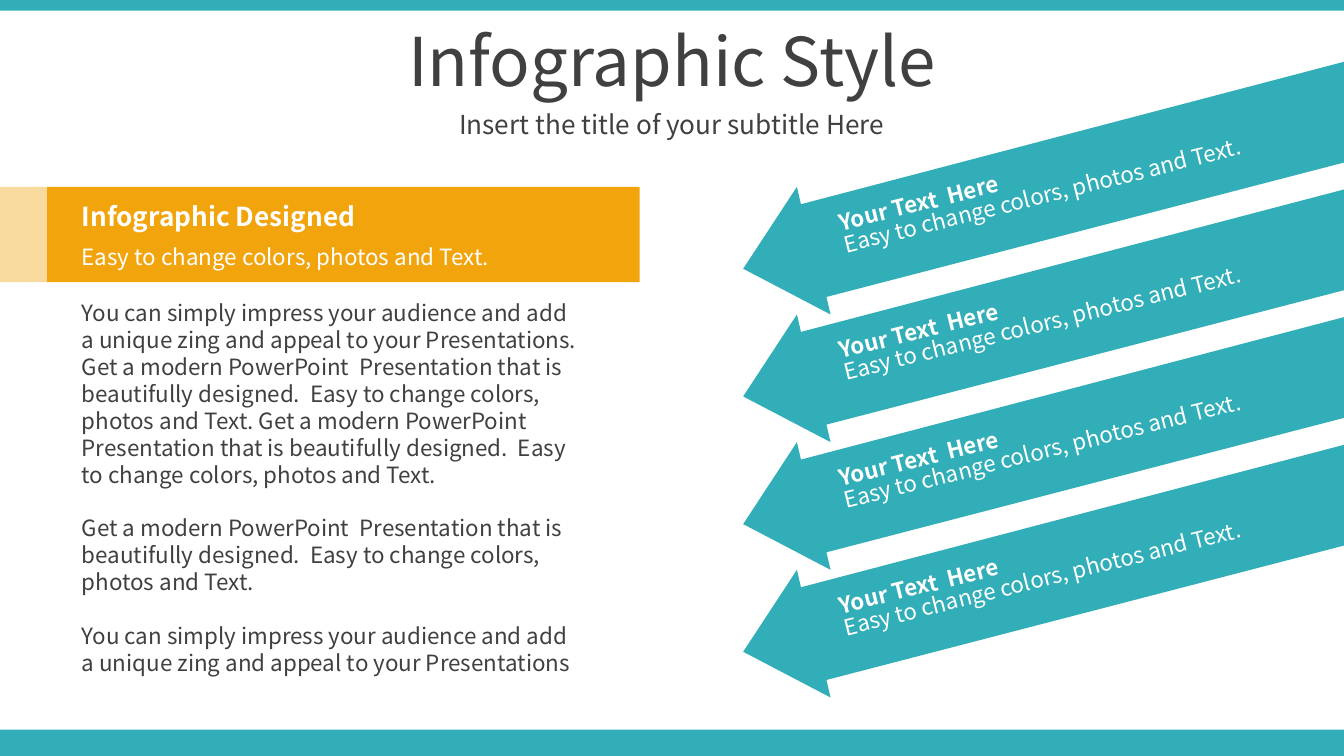
from pptx import Presentation
from pptx.dml.color import RGBColor
from pptx.enum import shapes, text
from pptx.oxml import parse_xml
from pptx.oxml.ns import nsdecls, qn
from pptx.util import Inches, Pt

FONT = "Noto Sans CJK KR"
TEAL, ORANGE, DARK, WHITE = "32AEB8", "F2A40D", "404040", "FFFFFF"

TITLE = "Infographic Style"
SUBTITLE = "Insert the title of your subtitle Here"
EASY = "Easy to change colors, photos and Text."
BANNER = "Infographic Designed"
MODERN = "Get a modern PowerPoint  Presentation that is beautifully designed.  " + EASY
IMPRESS = ("You can simply impress your audience and add a unique zing "
           "and appeal to your Presentations")
BODY = [f"{IMPRESS}. {MODERN} {MODERN}", MODERN, IMPRESS]
ARROWS = [("Your Text  Here", EASY)] * 4

ARROW_OUTLINE = [(10, 0.46), (10, 1.21), (6.15, 2.21), (6.18, 2.34),
                 (5.53, 2), (5.93, 1.39), (5.96, 1.52)]
ARROW_STEP = 0.95
TEXT_ROTATION = 346


def rgb(color):
    return RGBColor.from_string(color)


def paint(shape, color):
    shape.shadow.inherit = False
    shape.fill.solid()
    shape.fill.fore_color.rgb = rgb(color)
    shape.line.fill.background()
    return shape


def add_bar(x, y, w, h, color):
    bar = slide.shapes.add_shape(shapes.MSO_SHAPE.RECTANGLE,
                                 Inches(x), Inches(y), Inches(w), Inches(h))
    return paint(bar, color)


def write(shape, paragraphs, size, color, bold=False, align=None, gap=0):
    frame = shape.text_frame
    frame.word_wrap = True
    frame.text = "\n".join(paragraphs)
    for paragraph in frame.paragraphs:
        paragraph.alignment = align
        paragraph.space_after = Pt(gap)
        font = paragraph.font
        font.name, font.size, font.bold = FONT, Pt(size), bold
        font.color.rgb = rgb(color)


def add_text(x, y, w, h, paragraphs, size, color, rotation=0, **style):
    box = slide.shapes.add_textbox(Inches(x), Inches(y), Inches(w), Inches(h))
    box.rotation = rotation
    write(box, paragraphs, size, color, **style)
    box.text_frame.auto_size = text.MSO_AUTO_SIZE.SHAPE_TO_FIT_TEXT
    return box


def add_arrow(dy):
    points = [(Inches(x), Inches(y + dy)) for x, y in ARROW_OUTLINE]
    builder = slide.shapes.build_freeform(*points[0])
    builder.add_line_segments(points[1:], close=True)
    paint(builder.convert_to_shape(), TEAL)


prs = Presentation()
prs.slide_width = Inches(10)
prs.slide_height = prs.slide_width * 9 // 16
slide = prs.slides.add_slide(prs.slide_layouts[5])

add_bar(0, 5.43, 10, 0.2, TEAL)
add_bar(0, 0, 10, 0.08, TEAL)

title = slide.shapes.title
title.left, title.top = Inches(0), Inches(0.13)
title.width, title.height = Inches(10), Inches(0.63)
write(title, [TITLE], 36, DARK, align=text.PP_ALIGN.CENTER)
subtitle = add_text(0, 0.77, 10, 0.31, [SUBTITLE], 14, DARK,
                    align=text.PP_ALIGN.CENTER)
for heading in (title, subtitle):
    heading.text_frame.auto_size = text.MSO_AUTO_SIZE.NONE
    heading.text_frame.vertical_anchor = text.MSO_ANCHOR.MIDDLE

add_bar(0.35, 1.39, 4.41, 0.71, ORANGE)
tab = add_bar(0, 1.39, 0.35, 0.71, ORANGE)
tab_color = tab.element.spPr.find(qn("a:solidFill"))[0]
tab_color.append(parse_xml(f'<a:alpha {nsdecls("a")} val="40000"/>'))
add_text(0.51, 1.44, 3.54, 0.34, [BANNER], 14, WHITE, bold=True)
add_text(0.51, 1.76, 3.54, 0.3, [EASY], 12, WHITE)
add_text(0.51, 2.18, 3.94, 3.33, BODY, 12, DARK, gap=14.4)

for i, (heading, detail) in enumerate(ARROWS):
    dy = i * ARROW_STEP
    add_arrow(dy)
    add_text(6.16, 1.28 + dy, 3.39, 0.5, [detail], 12, WHITE, TEXT_ROTATION)
    add_text(6.1, 1.12 + dy, 3.39, 0.3, [heading], 12, WHITE, TEXT_ROTATION,
             bold=True)

prs.save("out.pptx")
